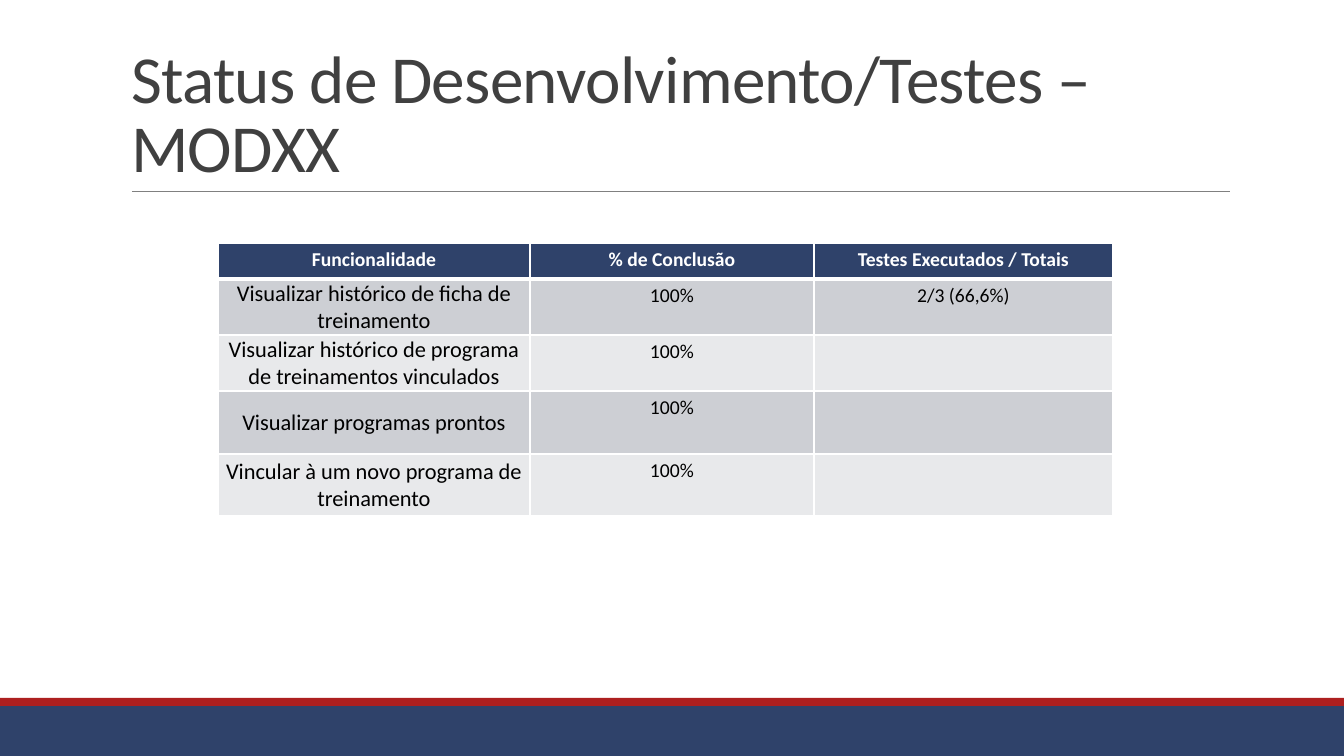
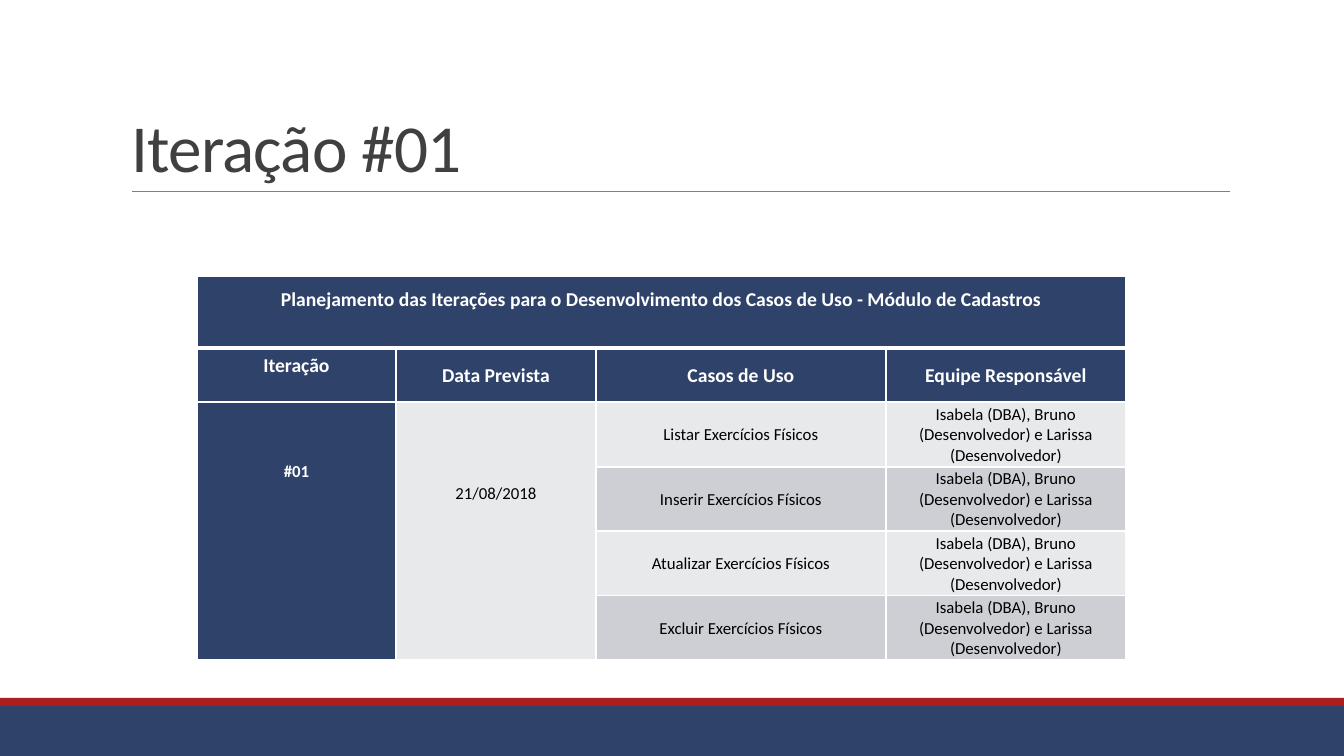
from lxml import etree
from pptx import Presentation
from pptx.dml.color import RGBColor
from pptx.enum.shapes import MSO_CONNECTOR, MSO_SHAPE
from pptx.enum.text import MSO_ANCHOR, MSO_AUTO_SIZE, PP_ALIGN
from pptx.oxml.ns import qn
from pptx.util import Emu, Pt

# Shared look
NAVY, RED, GRAY, INK = "2F426A", "AD1F1F", "808080", "404040"
WHITE, BLACK = "FFFFFF", "000000"
BANDS = ("E8E9EB", "CDCFD4")
FONT = "Calibri"
WIDE, HIGH = 1344, 756
TOP, MID, LOW = MSO_ANCHOR.TOP, MSO_ANCHOR.MIDDLE, MSO_ANCHOR.BOTTOM
ROOMY, TIGHT = (10, 5, 10, 5), (1, 1, 1, 0)


def px(n):
    return Emu(round(n * 914400 / 100.8))


def color(code):
    return RGBColor.from_string(code)


def style(para, size, code, bold=False):
    font = para.font
    font.name, font.size, font.bold = FONT, Pt(size), bold
    font.color.rgb = color(code)


def band(slide, top, height, code):
    bar = slide.shapes.add_shape(
        MSO_SHAPE.RECTANGLE, 0, px(top), px(WIDE), px(height))
    bar.shadow.inherit = False
    bar.fill.solid()
    bar.fill.fore_color.rgb = color(code)
    bar.line.fill.background()


def rule(slide, left, top, width):
    line = slide.shapes.add_connector(
        MSO_CONNECTOR.STRAIGHT, px(left), px(top), px(left + width), px(top))
    line.line.color.rgb = color(GRAY)
    line.line.width = Pt(0.5)
    etree.SubElement(line._element.spPr, qn("a:effectLst"))


def heading(slide, text, left, top, width, height):
    title = slide.shapes.title
    title.left, title.top = px(left), px(top)
    title.width, title.height = px(width), px(height)
    frame = title.text_frame
    frame.text = text
    frame.word_wrap = True
    frame.auto_size = MSO_AUTO_SIZE.NONE
    frame.vertical_anchor = LOW
    para = frame.paragraphs[0]
    para.alignment = PP_ALIGN.LEFT
    para.line_spacing = 0.85
    style(para, 48, INK)
    para.runs[0]._r.get_or_add_rPr().set("spc", "-50")


def page(deck, text):
    slide = deck.slides.add_slide(deck.slide_layouts[5])
    band(slide, 706, HIGH - 706, NAVY)
    band(slide, 698, 8, RED)
    rule(slide, 132, 191, 1098)
    heading(slide, text, 121, 31, 1109, 160)
    return slide


def edges(cell, row):
    # White grid, heavier under the first row
    props = cell._tc.get_or_add_tcPr()
    heavy = {0: "lnB", 1: "lnT"}.get(row)
    for spot, side in enumerate(("lnL", "lnR", "lnT", "lnB")):
        line = etree.Element(qn("a:" + side))
        line.set("w", str(Pt(3 if side == heavy else 1)))
        fill = etree.SubElement(line, qn("a:solidFill"))
        etree.SubElement(fill, qn("a:srgbClr")).set("val", WHITE)
        props.insert(spot, line)


def grid(slide, left, top, cols, rows):
    table = slide.shapes.add_table(
        len(rows), len(cols), px(left), px(top),
        px(sum(cols)), px(sum(rows))).table
    for col, width in zip(table.columns, cols):
        col.width = px(width)
    for row, height in zip(table.rows, rows):
        row.height = px(height)
    for r in range(len(rows)):
        for c in range(len(cols)):
            edges(table.cell(r, c), r)
            paint(table.cell(r, c), BANDS[r % 2])
    return table


def paint(cell, code):
    cell.fill.solid()
    cell.fill.fore_color.rgb = color(code)


def write(cell, text, size, head=False, anchor=MID, pad=TIGHT):
    if head:
        paint(cell, NAVY)
    cell.text = text
    cell.vertical_anchor = anchor
    cell.margin_left, cell.margin_top, cell.margin_right, cell.margin_bottom = map(px, pad)
    para = cell.text_frame.paragraphs[0]
    para.alignment = PP_ALIGN.CENTER
    style(para, size, WHITE if head else BLACK, head)


def status(slide, left, top):
    table = grid(slide, left, top, (312, 284, 299), (36, 56, 56, 63, 62))
    heads = ("Funcionalidade", "% de Conclusão", "Testes Executados / Totais")
    for c, text in enumerate(heads):
        write(table.cell(0, c), text, 14, True, TOP, ROOMY)
    tasks = (
        ("Visualizar histórico de ficha de treinamento", "2/3 (66,6%)"),
        ("Visualizar histórico de programa de treinamentos vinculados", ""),
        ("Visualizar programas prontos", ""),
        ("Vincular à um novo programa de treinamento", ""),
    )
    for r, (task, tests) in enumerate(tasks, 1):
        write(table.cell(r, 0), task, 16)
        write(table.cell(r, 1), "100%", 14, False, TOP, ROOMY)
        write(table.cell(r, 2), tests, 14, False, TOP, ROOMY)


def plan(slide, left, top):
    table = grid(slide, left, top, (199, 200, 290, 240),
                 (72, 54, 65, 64, 65, 64))
    # Caption across all columns
    table.cell(0, 0).merge(table.cell(0, 3))
    write(table.cell(0, 0),
          "Planejamento das Iterações para o Desenvolvimento "
          "dos Casos de Uso - Módulo de Cadastros",
          14, True, TOP, (7, 12, 7, 0))
    # Column heads
    write(table.cell(1, 0), "Iteração", 14, True, LOW, (1, 1, 1, 24))
    heads = ("Data Prevista", "Casos de Uso", "Equipe Responsável")
    for c, text in enumerate(heads, 1):
        write(table.cell(1, c), text, 14, True)
    # Iteration and date span the four cases
    for c in (0, 1):
        table.cell(2, c).merge(table.cell(5, c))
    write(table.cell(2, 0), "#01", 12, True, TOP, (7, 60, 7, 0))
    write(table.cell(2, 1), "21/08/2018", 12, False, TOP, (7, 82, 7, 0))
    # Cases and team
    team = "Isabela (DBA), Bruno (Desenvolvedor) e Larissa (Desenvolvedor)"
    for r, verb in enumerate(("Listar", "Inserir", "Atualizar", "Excluir"), 2):
        write(table.cell(r, 2), f"{verb} Exercícios Físicos", 12)
        write(table.cell(r, 3), team, 12)


def main():
    deck = Presentation()
    deck.slide_width, deck.slide_height = px(WIDE), px(HIGH)
    status(page(deck, "Status de Desenvolvimento/Testes – MODXX"), 218, 243)
    plan(page(deck, "Iteração #01"), 197, 276)
    deck.save("out.pptx")


if __name__ == "__main__":
    main()
